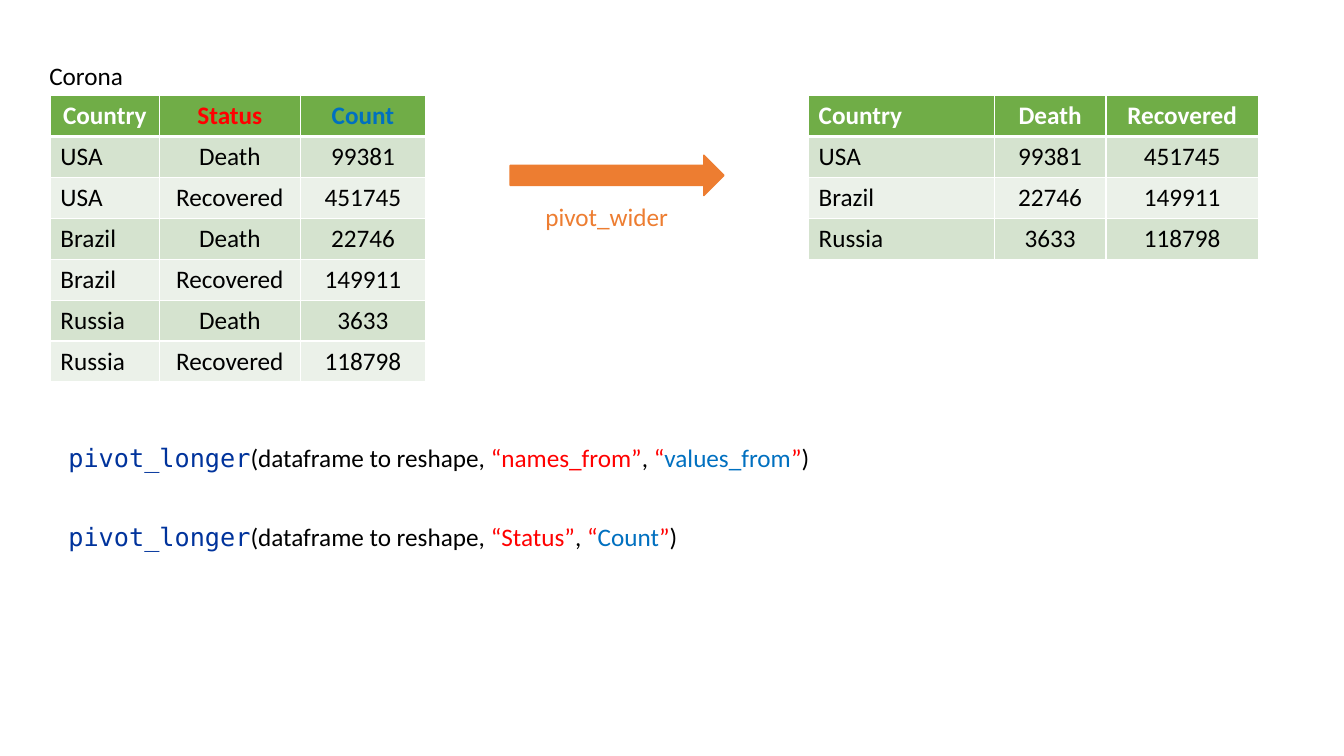
from dataclasses import dataclass
from lxml.etree import SubElement
from pptx import Presentation
from pptx.dml.color import RGBColor
from pptx.enum.shapes import MSO_SHAPE
from pptx.enum.text import MSO_ANCHOR, MSO_AUTO_SIZE, PP_ALIGN
from pptx.oxml.ns import qn
from pptx.util import Inches, Pt


@dataclass(frozen=True)
class Theme:
    """Colours, fonts and sizes of the slide."""
    font: str = "Calibri"
    mono: str = "DejaVu Sans Mono"
    size: int = 18
    thin: int = 1
    thick: int = 3
    black: str = "000000"
    white: str = "FFFFFF"
    red: str = "FF0000"
    blue: str = "0070C0"
    navy: str = "00339C"
    orange: str = "ED7D31"
    head: str = "70AD47"
    bands: tuple = ("D5E3CF", "EBF1E9")


LOOK = Theme()
ROW = 0.4


def write(frame, *parts, color=LOOK.black, bold=False, align=PP_ALIGN.LEFT):
    """Fill a frame with runs, each a text or a (text, color, font) tuple."""
    line = frame.paragraphs[0]
    line.alignment = align
    for part in parts:
        text, tint, face = part if isinstance(part, tuple) else (part, color, LOOK.font)
        run = line.add_run()
        run.text = text
        run.font.name = face
        run.font.size = Pt(LOOK.size)
        run.font.bold = bold
        run.font.color.rgb = RGBColor.from_string(tint)


def add_text(slide, left, top, width, *parts, wrap=True, **style):
    """Add a one-line text box."""
    box = slide.shapes.add_textbox(Inches(left), Inches(top), Inches(width), Inches(ROW))
    box.text_frame.word_wrap = wrap
    box.text_frame.auto_size = MSO_AUTO_SIZE.SHAPE_TO_FIT_TEXT
    write(box.text_frame, *parts, **style)


def add_call(slide, top, width, name, value, **style):
    """Add a coloured function call with its two arguments."""
    def ink(text, color):
        """Give a run in the body font."""
        return text, color, LOOK.font

    add_text(slide, 0.58, top, width, ("pivot_longer", LOOK.navy, LOOK.mono),
             "(dataframe to reshape, ", ink(f"“{name}”", LOOK.red), ", ",
             ink("“", LOOK.red), ink(value, LOOK.blue), ink("”", LOOK.red), ")", **style)


def edge(cell, row):
    """Draw white cell borders, thick between head and body."""
    heavy = {0: "lnB", 1: "lnT"}.get(row)
    props = cell._tc.get_or_add_tcPr()
    for side in ("lnL", "lnR", "lnT", "lnB"):
        width = LOOK.thick if side == heavy else LOOK.thin
        line = SubElement(props, qn(f"a:{side}"), w=str(Pt(width)))
        fill = SubElement(line, qn("a:solidFill"))
        SubElement(fill, qn("a:srgbClr"), val=LOOK.white)


def add_grid(slide, left, widths, rows, tints=None, first=PP_ALIGN.LEFT):
    """Add a banded table; tints colour its header and first aligns its corner."""
    frame = slide.shapes.add_table(len(rows), len(widths), Inches(left), Inches(0.95),
                                   Inches(sum(widths)), Inches(ROW * len(rows)))
    table = frame.table
    for col, width in zip(table.columns, widths):
        col.width = Inches(width)
    for r, row in enumerate(rows):
        table.rows[r].height = Inches(ROW)
        for c, text in enumerate(row):
            cell = table.cell(r, c)
            edge(cell, r)
            cell.fill.solid()
            back = LOOK.bands[(r - 1) % 2] if r else LOOK.head
            cell.fill.fore_color.rgb = RGBColor.from_string(back)
            cell.vertical_anchor = MSO_ANCHOR.TOP
            color = LOOK.black if r else (tints or {}).get(text, LOOK.white)
            side = PP_ALIGN.CENTER if c else PP_ALIGN.LEFT if r else first
            write(cell.text_frame, text, color=color, bold=r == 0, align=side)


def add_arrow(slide, left, top, width):
    """Add the block arrow between the tables."""
    arrow = slide.shapes.add_shape(MSO_SHAPE.RIGHT_ARROW, Inches(left), Inches(top),
                                   Inches(width), Inches(ROW))
    arrow.shadow.inherit = False
    arrow.fill.solid()
    arrow.fill.fore_color.rgb = RGBColor.from_string(LOOK.orange)
    arrow.line.color.rgb = RGBColor.from_string(LOOK.orange)
    arrow.line.width = Pt(LOOK.thin)


def main():
    """Build and save the slide."""
    deck = Presentation()
    deck.slide_width, deck.slide_height = Inches(13.33), Inches(7.5)
    slide = deck.slides.add_slide(deck.slide_layouts[6])

    wide = [("USA", "99381", "451745"),
            ("Brazil", "22746", "149911"),
            ("Russia", "3633", "118798")]
    states = ("Death", "Recovered")
    long = [(land, state, count) for land, *counts in wide
            for state, count in zip(states, counts)]

    add_grid(slide, 8.02, (1.84, 1.11, 1.51), [("Country", *states), *wide])
    add_grid(slide, 0.5, (1.08, 1.4, 1.24), [("Country", "Status", "Count"), *long],
             tints={"Status": LOOK.red, "Count": LOOK.blue}, first=PP_ALIGN.CENTER)
    add_text(slide, 0.39, 0.55, 1.32, "Corona")
    add_text(slide, 5.31, 1.95, 1.61, "pivot_wider", color=LOOK.orange)
    add_call(slide, 4.34, 7.59, "names_from", "values_from", wrap=False)
    add_call(slide, 5.12, 12.75, "Status", "Count")
    add_arrow(slide, 5.06, 1.54, 2.12)
    deck.save("out.pptx")


main()
